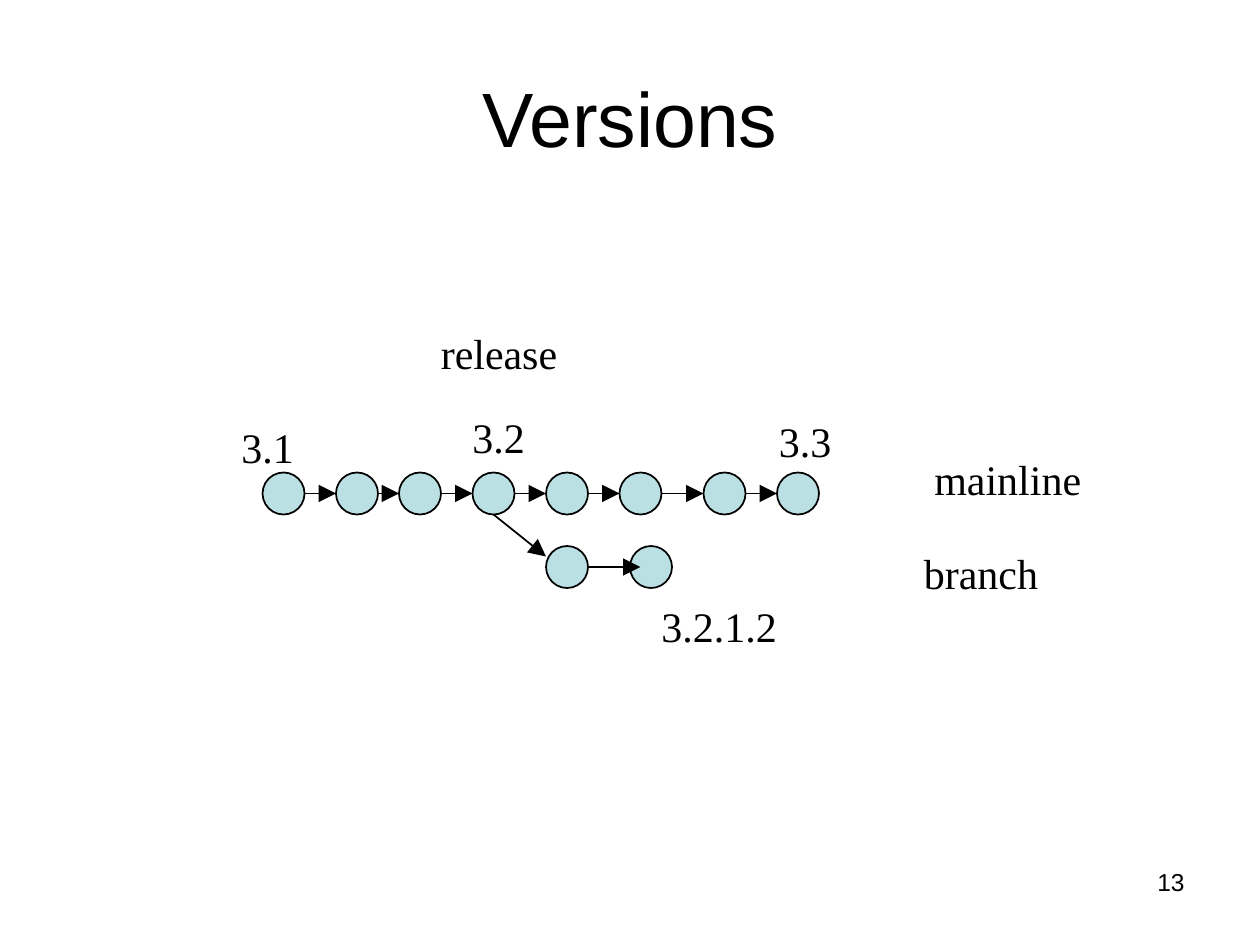
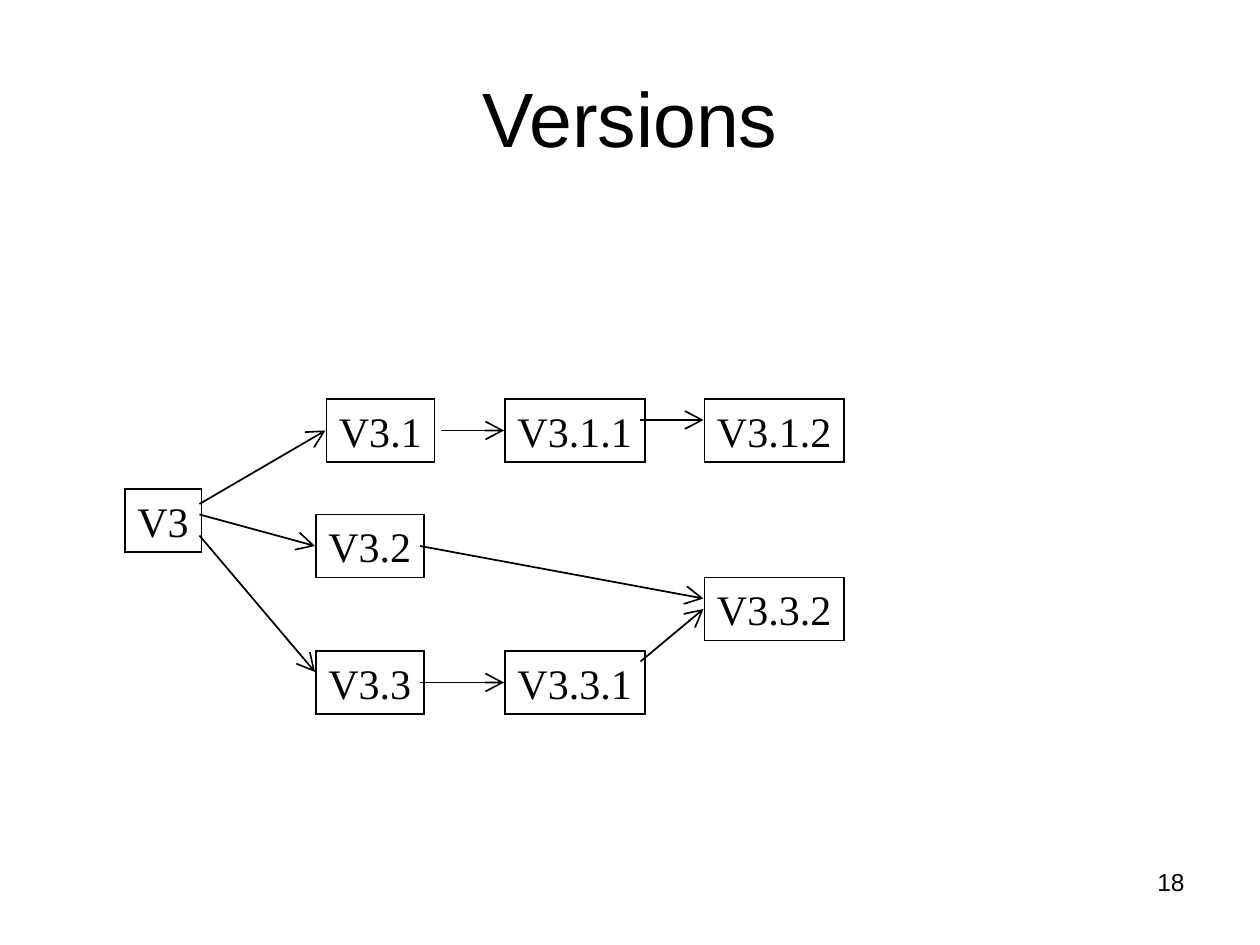
from pptx import Presentation
from pptx.dml.color import RGBColor
from pptx.enum.shapes import MSO_CONNECTOR, MSO_SHAPE
from pptx.enum.text import MSO_ANCHOR, MSO_AUTO_SIZE, PP_ALIGN
from pptx.oxml.ns import qn
from pptx.util import Inches, Pt
from lxml.etree import SubElement

BLACK = RGBColor(0x00, 0x00, 0x00)
PALE_BLUE = RGBColor(0xBB, 0xE0, 0xE3)
LINE_WIDTH = Pt(0.99)
SANS, SERIF = "Arial", "Times New Roman"

prs = Presentation()
prs.slide_width, prs.slide_height = Inches(10), Inches(7.5)
UNIT = prs.slide_width // 120


def write(sp, text, size=24, font=SERIF, align=PP_ALIGN.LEFT,
          anchor=MSO_ANCHOR.TOP, wrap=False, grow=True):
    tf = sp.text_frame
    tf.word_wrap = wrap
    tf.auto_size = MSO_AUTO_SIZE.SHAPE_TO_FIT_TEXT if grow else MSO_AUTO_SIZE.NONE
    tf.vertical_anchor = anchor
    p = tf.paragraphs[0]
    p.alignment = align
    r = p.add_run()
    r.text = text
    r.font.size, r.font.name = Pt(size), font
    r.font.color.rgb = BLACK


def arrow(s, x1, y1, x2, y2, head):
    ends = [int(v * UNIT) for v in (x1, y1, x2, y2)]
    line = s.shapes.add_connector(MSO_CONNECTOR.STRAIGHT, *ends)
    line.line.color.rgb = BLACK
    line.line.width = LINE_WIDTH
    ln = line._element.spPr.find(qn("a:ln"))
    SubElement(ln, qn("a:tailEnd"), type=head, w="lg", len="lg")
    SubElement(line._element.spPr, qn("a:effectLst"))


slides = []
for number in ("13", "18"):
    s = prs.slides.add_slide(prs.slide_layouts[6])
    title = s.shapes.add_textbox(6 * UNIT, int(3.6 * UNIT), 108 * UNIT, 15 * UNIT)
    write(title, "Versions", size=44, font=SANS, align=PP_ALIGN.CENTER,
          anchor=MSO_ANCHOR.MIDDLE, wrap=True, grow=False)
    page = s.shapes.add_textbox(86 * UNIT, 82 * UNIT, 28 * UNIT, int(6.25 * UNIT))
    write(page, number, size=14, font=SANS, align=PP_ALIGN.RIGHT, wrap=True, grow=False)
    slides.append(s)
history, tree = slides

DOT = 4
MAIN_ROW, BRANCH_ROW = 45, 52
main_cols = [25, 32, 38, 45, 52, 59, 67, 74]
branch_cols = [52, 60]
for row, cols in ((MAIN_ROW, main_cols), (BRANCH_ROW, branch_cols)):
    for col in cols:
        sp = history.shapes.add_shape(MSO_SHAPE.OVAL, col * UNIT, row * UNIT,
                                      DOT * UNIT, DOT * UNIT)
        sp.shadow.inherit = False
        sp.fill.solid()
        sp.fill.fore_color.rgb = PALE_BLUE
        sp.line.color.rgb = BLACK
        sp.line.width = LINE_WIDTH

mid = MAIN_ROW + DOT / 2
for left, right in zip(main_cols, main_cols[1:]):
    arrow(history, left + DOT, mid, right, mid, "triangle")
arrow(history, 47, MAIN_ROW + DOT, 52, 53, "triangle")
arrow(history, 56, BRANCH_ROW + DOT / 2, 61, BRANCH_ROW + DOT / 2, "triangle")

labels = [
    ("3.2", 43.8, 38.6, 7.6),
    ("3.3", 73, 39, 9),
    ("3.2.1.2", 61.8, 56.6, 13.7),
    ("mainline", 87.8, 42.6, 16.7),
    ("branch", 86.8, 51.6, 13.6),
    ("release", 40.8, 30.6, 13.8),
    ("3.1", 21.8, 39.6, 7.6),
]
for text, x, y, w in labels:
    sp = history.shapes.add_textbox(int(x * UNIT), int(y * UNIT), int(w * UNIT), 6 * UNIT)
    write(sp, text, wrap=True)

BOX_WIDTHS = {2: 7.3, 4: 10.3, 6: 13.3}
versions = [
    ("V3", 11.9, 46.6),
    ("V3.3.2", 67.1, 55),
    ("V3.1", 31.1, 38),
    ("V3.2", 30.1, 49),
    ("V3.3", 30.1, 62),
    ("V3.3.1", 48.1, 62),
    ("V3.1.1", 48.1, 38),
    ("V3.1.2", 67.1, 38),
]
for text, x, y in versions:
    sp = tree.shapes.add_shape(MSO_SHAPE.RECTANGLE, int(x * UNIT), int(y * UNIT),
                               int(BOX_WIDTHS[len(text)] * UNIT), 6 * UNIT)
    sp.shadow.inherit = False
    sp.fill.background()
    sp.line.color.rgb = BLACK
    sp.line.width = LINE_WIDTH
    SubElement(sp._element.spPr.find(qn("a:ln")), qn("a:miter"), lim="800000")
    write(sp, text)

links = [
    (19, 49, 30, 52), (19, 51, 30, 64), (42, 41, 48, 41), (19, 48, 31, 41),
    (61, 63, 67, 58), (40, 52, 67, 57), (61, 40, 67, 40), (40, 65, 48, 65),
]
for ends in links:
    arrow(tree, *ends, "arrow")

prs.save("out.pptx")
